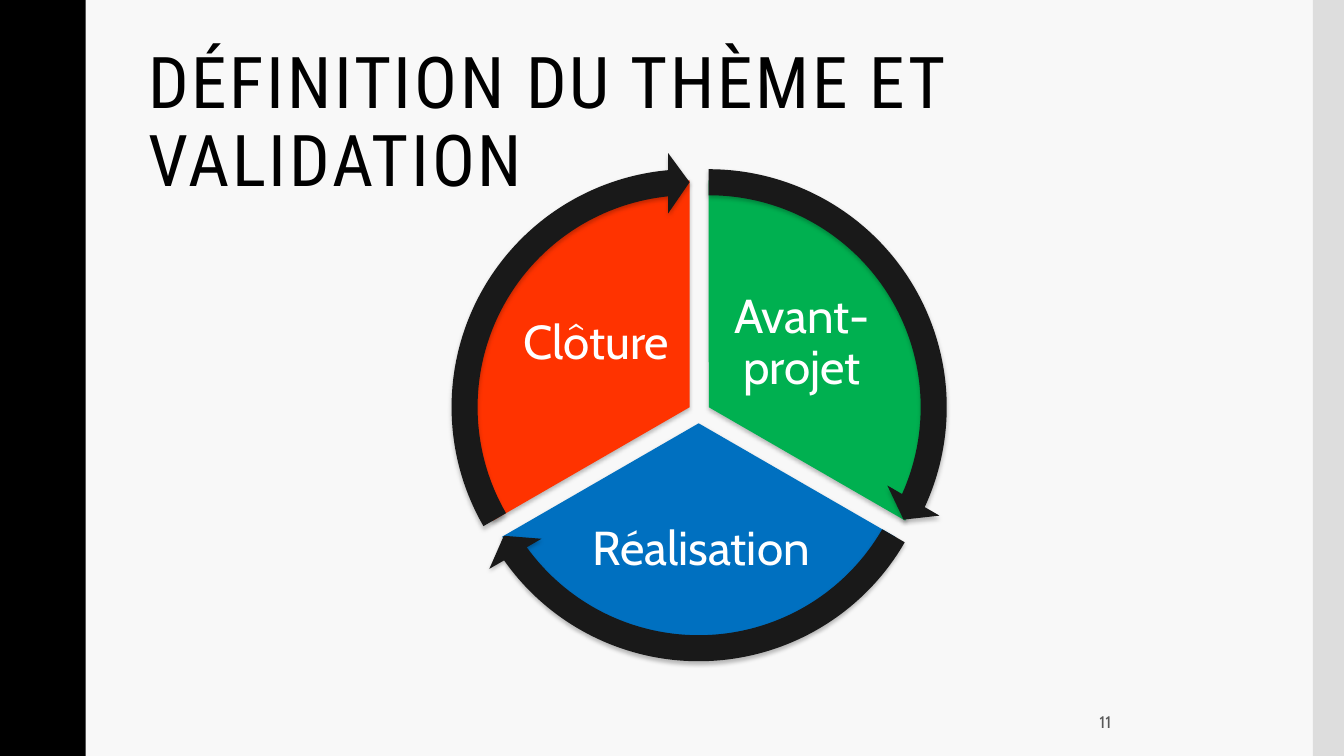
import lxml.etree
import pptx
import pptx.dml.color
import pptx.enum.shapes
import pptx.enum.text
import pptx.oxml
import pptx.oxml.ns
import pptx.util

Inches = pptx.util.Inches
RGBColor = pptx.dml.color.RGBColor
Shapes = pptx.enum.shapes.MSO_SHAPE
Align = pptx.enum.text.PP_ALIGN
Anchor = pptx.enum.text.MSO_ANCHOR

PAPER = RGBColor(0xF8, 0xF8, 0xF8)
EDGE = RGBColor(0xDD, 0xDD, 0xDD)
BLACK = RGBColor(0x00, 0x00, 0x00)
GREY = RGBColor(0x59, 0x59, 0x59)
WHITE = RGBColor(0xFF, 0xFF, 0xFF)
GREEN = RGBColor(0x00, 0xB0, 0x50)
BLUE = RGBColor(0x00, 0x70, 0xC0)
RED = RGBColor(0xFF, 0x33, 0x00)
ARROW = RGBColor(0x19, 0x19, 0x19)

SHADOW = (
    f'<a:effectLst {pptx.oxml.ns.nsdecls("a")}>'
    '<a:outerShdw blurRad="38100" dist="25400" dir="5400000" rotWithShape="0">'
    '<a:srgbClr val="000000"><a:alpha val="25000"/></a:srgbClr>'
    '</a:outerShdw></a:effectLst>'
)


def add_figure(shapes, kind, at, color, adjustments=(), shadow=False):
    shape = shapes.add_shape(kind, *[Inches(length) for length in at])
    for index, value in enumerate(adjustments):
        shape.adjustments[index] = value
    shape.fill.solid()
    shape.fill.fore_color.rgb = color
    shape.line.fill.background()
    if shadow:
        shape._element.spPr.append(pptx.oxml.parse_xml(SHADOW))
    else:
        shape.shadow.inherit = False
    return shape


def add_text(shapes, at, text, font, size, color, align, anchor, spacing=1.0):
    box = shapes.add_textbox(*[Inches(length) for length in at])
    box.text_frame.word_wrap = True
    box.text_frame.vertical_anchor = anchor
    para = box.text_frame.paragraphs[0]
    para.alignment = align
    para.line_spacing = spacing
    span = para.add_run()
    span.text = text
    span.font.name = font
    span.font.size = pptx.util.Pt(size)
    span.font.color.rgb = color
    return box


deck = pptx.Presentation()
deck.slide_width = Inches(13.33)
deck.slide_height = Inches(7.5)
page = deck.slides.add_slide(deck.slide_layouts[6])

# Background and side bands
page.background.fill.solid()
page.background.fill.fore_color.rgb = PAPER
add_figure(page.shapes, Shapes.RECTANGLE, (13.02, 0, 0.31, 7.5), EDGE)
add_figure(page.shapes, Shapes.RECTANGLE, (0, 0, 0.85, 7.5), BLACK)

# Title with letter spacing, and page number
title = add_text(page.shapes, (1.37, 0.42, 11.13, 1.63),
                 "DÉFINITION DU THÈME ET VALIDATION", "Roboto Condensed", 51,
                 BLACK, Align.LEFT, Anchor.TOP, 0.9)
title.text_frame.paragraphs[0].runs[0].font._element.set("spc", "200")
add_text(page.shapes, (9.42, 6.97, 1.7, 0.38), "11", "Cabin", 12,
         GREY, Align.RIGHT, Anchor.MIDDLE)

# Cycle: label, color, left and top of the sector, its angles,
# place of the label, angles of the arrow
PHASES = [
    ("Avant-projet", GREEN, 4.78, 1.79, (162, 18),
     (7.15, 2.74, 1.61, 1.34), (14.725, 161.994)),
    ("Réalisation", BLUE, 4.68, 1.95, (18, 90),
     (5.75, 4.87, 2.41, 1.18), (86.72, 18.005)),
    ("Clôture", RED, 4.59, 1.79, (90, 162),
     (5.11, 2.74, 1.61, 1.34), (158.73, 90)),
]
SECTOR_SIZE = 4.5
ARROW_SIZE = 5.06
ARROW_OFFSET = (ARROW_SIZE - SECTOR_SIZE) / 2

cycle = page.shapes.add_group_shape()
for label, color, left, top, angles, label_at, arrow_angles in PHASES:
    add_figure(cycle.shapes, Shapes.PIE, (left, top, SECTOR_SIZE, SECTOR_SIZE),
               color, angles, shadow=True)
    box = add_text(cycle.shapes, label_at, label, "Cabin", 34,
                   WHITE, Align.CENTER, Anchor.MIDDLE, 0.9)
    frame = box.text_frame
    frame.margin_left = frame.margin_right = Inches(0.05)
    frame.margin_top = frame.margin_bottom = Inches(0.05)

# Arrows around the sectors, in front of them
for label, color, left, top, angles, label_at, arrow_angles in PHASES:
    add_figure(cycle.shapes, Shapes.CIRCULAR_ARROW,
               (left - ARROW_OFFSET, top - ARROW_OFFSET, ARROW_SIZE, ARROW_SIZE),
               ARROW, (0.051, 3.275, *arrow_angles, 0.059), shadow=True)

deck.save("out.pptx")
